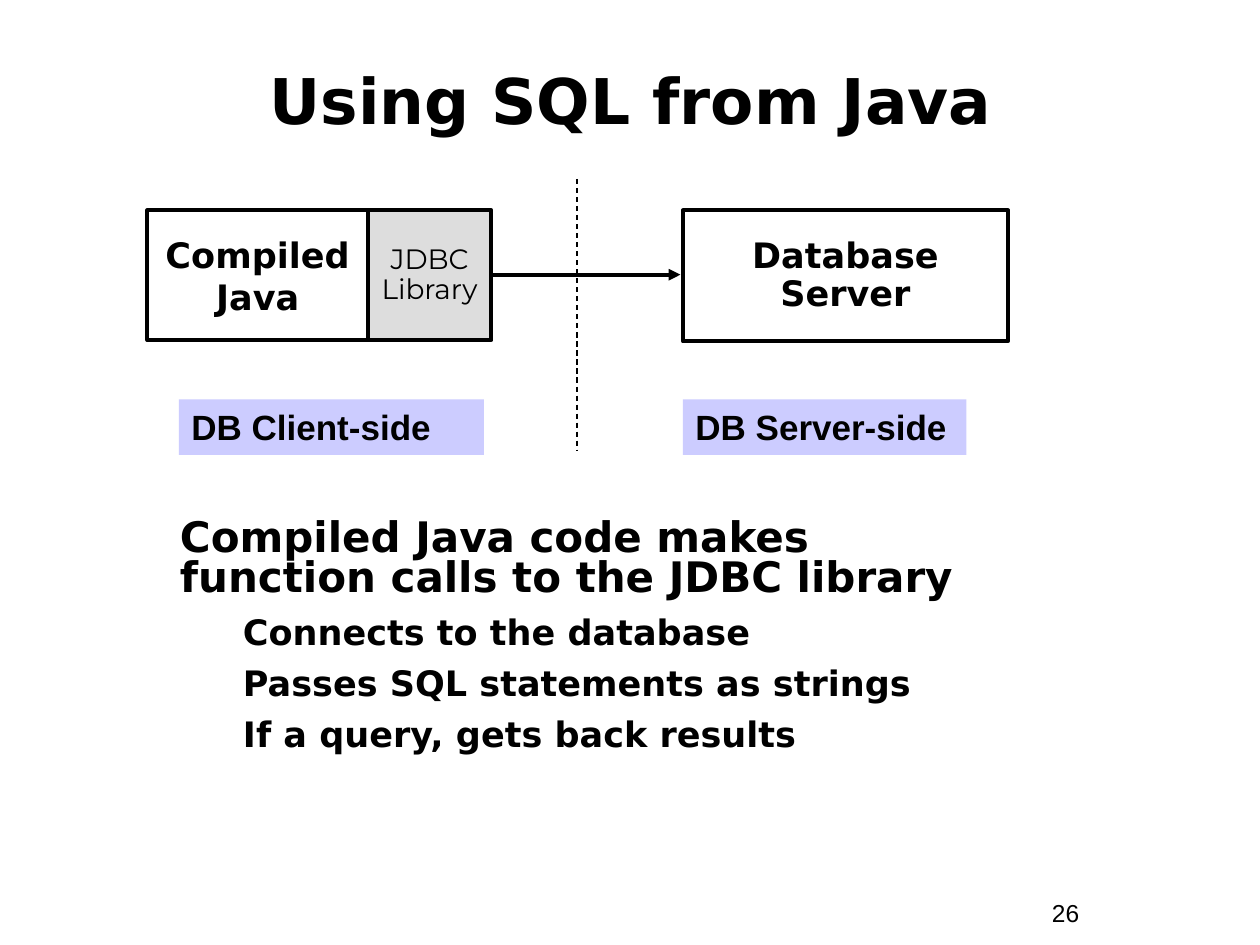
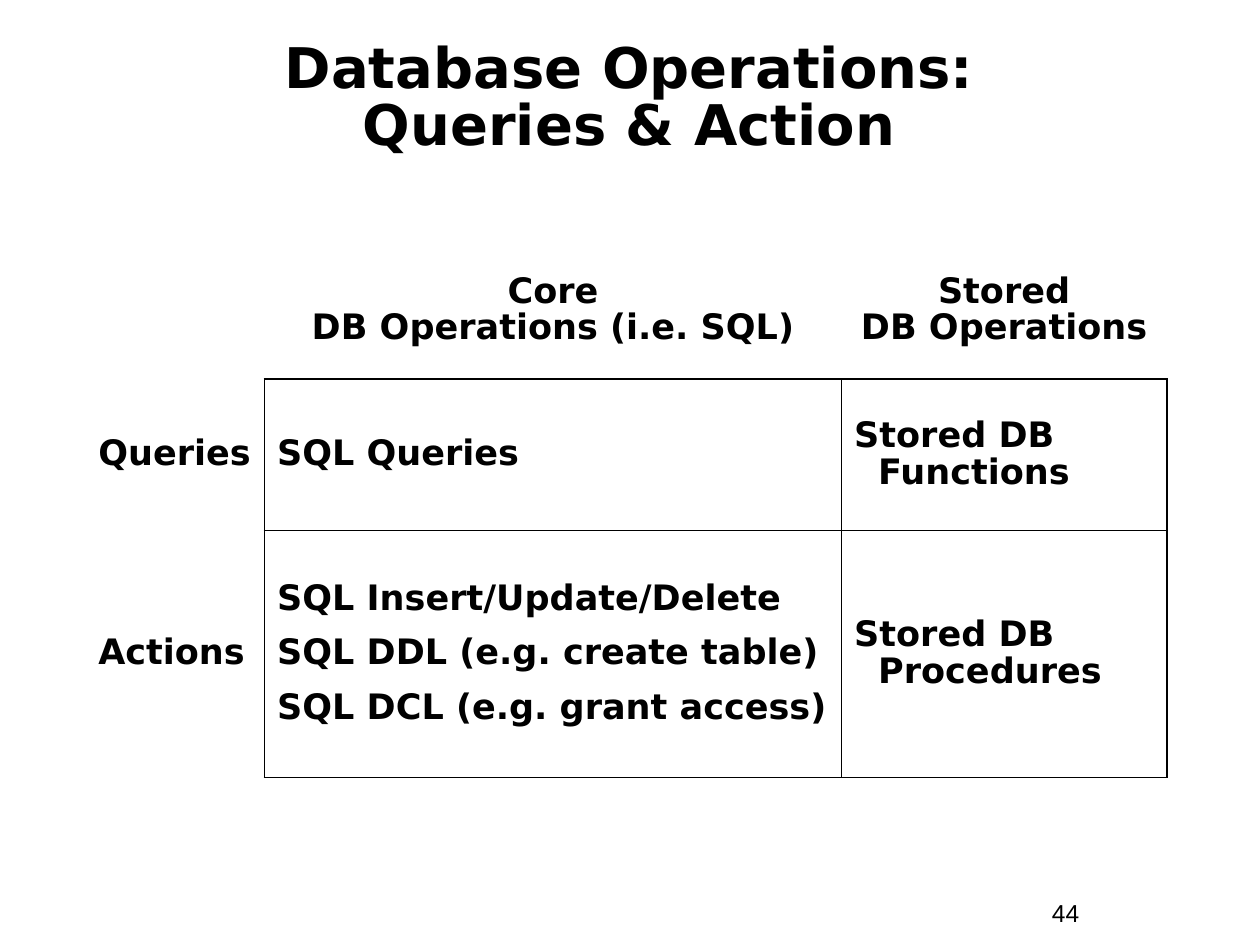
from copy import deepcopy
from pptx import Presentation
from pptx.dml.color import RGBColor
from pptx.enum.dml import MSO_LINE
from pptx.enum.shapes import MSO_CONNECTOR as CONNECTOR, MSO_SHAPE as SHAPE
from pptx.enum.text import MSO_ANCHOR as ANCHOR, MSO_AUTO_SIZE as AUTO_SIZE, PP_ALIGN as ALIGN
from pptx.oxml.ns import qn
from pptx.util import Inches, Pt
from lxml.etree import SubElement

BLACK, GREY, LILAC = "000000", "DDDDDD", "CCCCFF"
MAIN_FONT, LABEL_FONT, LIBRARY_FONT = "DejaVu Sans", "Arial", "Montserrat"


def paint(fill, color):
    """Fill a shape, line, cell or font; None leaves it empty."""
    if color is None:
        fill.background()
    else:
        fill.solid()
        fill.fore_color.rgb = RGBColor.from_string(color)


def write(frame, texts, size, font=MAIN_FONT, bold=True, align=ALIGN.LEFT,
          spacing=1.0, before=0):
    """Add one paragraph per text; a newline becomes a line break."""
    for number, text in enumerate(texts):
        first = not frame.paragraphs[0].runs
        para = frame.paragraphs[0] if first else frame.add_paragraph()
        para.alignment = align
        para.line_spacing = spacing
        para.space_before = Pt(0 if first else before)
        for index, line in enumerate(text.split("\n")):
            if index:
                para.add_line_break()
                para._p[-1].append(deepcopy(span._r.rPr))
            span = para.add_run()
            span.text = line
            span.font.name, span.font.size, span.font.bold = font, Pt(size), bold
            paint(span.font.fill, BLACK)


deck = Presentation()
deck.slide_width, deck.slide_height = Inches(10), Inches(7.5)

# Titles and page numbers
pages = []
for title_text, left, width, size, spacing, number in [
    ("Using SQL from Java", 0.17, 9.67, 36, 1.0, "26"),
    ("Database Operations:\nQueries & Action", 0.33, 9.33, 32, 0.85, "44"),
]:
    page = deck.slides.add_slide(deck.slide_layouts[5])
    pages.append(page)
    title = page.shapes.title
    title.left, title.top = Inches(left), Inches(0.33)
    title.width, title.height = Inches(width), Inches(0.92)
    title.text_frame.auto_size = AUTO_SIZE.NONE
    title.text_frame.vertical_anchor = ANCHOR.MIDDLE
    write(title.text_frame, [title_text], size, align=ALIGN.CENTER, spacing=spacing)

    box = page.shapes.add_textbox(Inches(8.25), Inches(7.08), Inches(0.92), Inches(0.34))
    box.text_frame.word_wrap = True
    write(box.text_frame, [number], 14, LABEL_FONT, bold=False)

java_page, operations_page = pages

# Explanation below the diagram
box = java_page.shapes.add_textbox(Inches(1.33), Inches(4.08), Inches(6.75), Inches(2.33))
box.text_frame.word_wrap = True
write(box.text_frame, ["Compiled Java code makes\nfunction calls to the JDBC library"],
      24, spacing=0.8)
write(box.text_frame, ["Connects to the database", "Passes SQL statements as strings",
                       "If a query, gets back results"], 20, spacing=0.8, before=10)
for para in box.text_frame.paragraphs[1:]:
    properties = para._p.get_or_add_pPr()
    properties.set("marL", str(Inches(0.81)))
    properties.set("indent", str(Inches(-0.31)))

# Arrow to the server and the client/server divider
for x1, y1, x2, y2, weight in [(2.93, 2.18, 5.4, 2.18, 2.25), (4.58, 1.42, 4.58, 3.58, 0.75)]:
    line = java_page.shapes.add_connector(
        CONNECTOR.STRAIGHT, Inches(x1), Inches(y1), Inches(x2), Inches(y2))
    paint(line.line.fill, BLACK)
    line.line.width = Pt(weight)
    if y1 == y2:
        SubElement(line.line._get_or_add_ln(), qn("a:tailEnd"), type="triangle")
    else:
        line.line.dash_style = MSO_LINE.DASH
    SubElement(line._element.spPr, qn("a:effectLst"))

# Components
for left, width, height, fill, texts, size, font, bold, spacing in [
    (1.17, 1.75, 1.03, None, ["Compiled", "Java"], 20, MAIN_FONT, True, 1.0),
    (5.42, 2.58, 1.04, None, ["Database\nServer"], 20, MAIN_FONT, True, 0.9),
    (2.92, 0.98, 1.03, GREY, ["JDBC\nLibrary"], 16, LIBRARY_FONT, False, 0.9),
]:
    component = java_page.shapes.add_shape(
        SHAPE.RECTANGLE, Inches(left), Inches(1.67), Inches(width), Inches(height))
    component.shadow.inherit = False
    paint(component.fill, fill)
    paint(component.line.fill, BLACK)
    component.line.width = Pt(2.25)
    component.text_frame.word_wrap = False
    component.text_frame.vertical_anchor = ANCHOR.MIDDLE
    write(component.text_frame, texts, size, font, bold, ALIGN.CENTER, spacing)

# Side labels
for left, width, text in [(1.42, 2.42, "DB Client-side"), (5.42, 2.25, "DB Server-side")]:
    label = java_page.shapes.add_shape(
        SHAPE.RECTANGLE, Inches(left), Inches(3.17), Inches(width), Inches(0.44))
    label.shadow.inherit = False
    paint(label.fill, LILAC)
    paint(label.line.fill, None)
    label.text_frame.word_wrap = True
    label.text_frame.vertical_anchor = ANCHOR.TOP
    write(label.text_frame, [text], 20, LABEL_FONT)

# Operations table
column_widths, row_heights = [1.42, 4.58, 2.58], [1.09, 1.2, 1.96]
operations = [
    [[], ["Core\nDB Operations (i.e. SQL)"], ["Stored\nDB Operations"]],
    [["Queries"], ["SQL Queries"], ["Stored DB\nFunctions"]],
    [["Actions"],
     ["SQL Insert/Update/Delete", "SQL DDL (e.g. create table)", "SQL DCL (e.g. grant access)"],
     ["Stored DB\nProcedures"]],
]
table = operations_page.shapes.add_table(
    3, 3, Inches(0.68), Inches(1.92), Inches(8.58), Inches(4.25)).table
table.first_row = table.horz_banding = False
for column, width in zip(table.columns, column_widths):
    column.width = Inches(width)
for row, height in zip(table.rows, row_heights):
    row.height = Inches(height)

for r, row_texts in enumerate(operations):
    for c, texts in enumerate(row_texts):
        cell = table.cell(r, c)
        cell.vertical_anchor = ANCHOR.MIDDLE
        # Headings have a line only where they meet the grid
        in_grid = r > 0 and c > 0
        sides = {"L": in_grid, "R": r > 0, "T": in_grid, "B": c > 0}
        for side, drawn in sides.items():
            border = SubElement(cell._tc.get_or_add_tcPr(), qn(f"a:ln{side}"),
                                w=str(Pt(1.08)))
            if drawn:
                solid = SubElement(border, qn("a:solidFill"))
                SubElement(solid, qn("a:srgbClr"), val=BLACK)
            else:
                SubElement(border, qn("a:noFill"))
        paint(cell.fill, None)
        write(cell.text_frame, texts, 20, align=ALIGN.LEFT if r else ALIGN.CENTER,
              spacing=0.9, before=10)
        if r and c == 2:
            properties = cell.text_frame.paragraphs[0]._p.get_or_add_pPr()
            properties.set("marL", str(Inches(0.19)))
            properties.set("indent", str(Inches(-0.19)))

deck.save("out.pptx")
